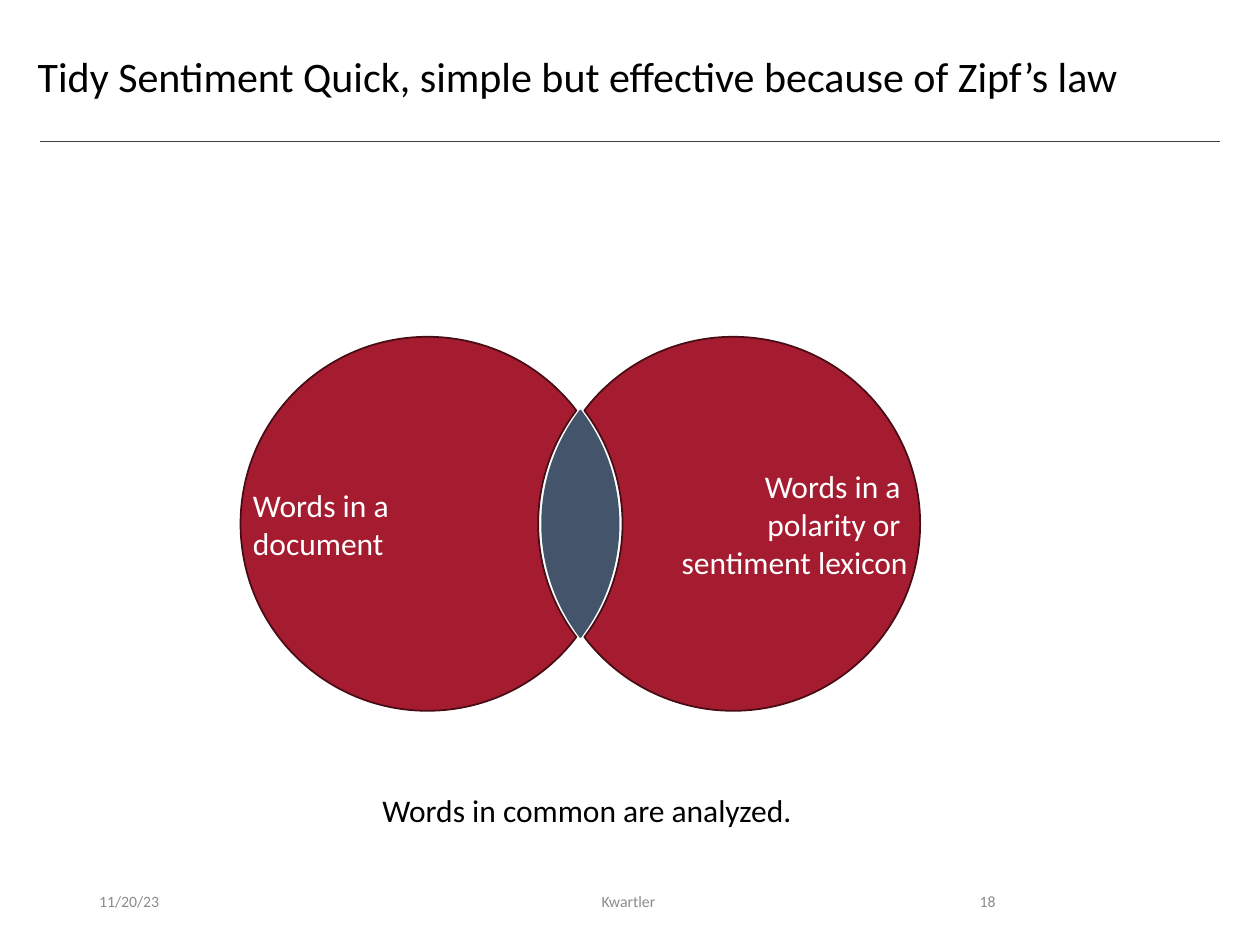
"""Build the tidy sentiment slide: two word sets and the words they share."""
import math
from lxml import etree
from pptx import Presentation
from pptx import util as u
from pptx.dml import color
from pptx.enum import shapes, text
from pptx.oxml import ns

HUES = {"red": "A51C30", "edge": "480C15", "slate": "44546A", "rule": "404040",
        "white": "FFFFFF", "black": "000000", "grey": "8C8C8C"}
HUES = {name: color.RGBColor.from_string(code) for name, code in HUES.items()}
LEFT, MID, RIGHT = text.PP_ALIGN.LEFT, text.PP_ALIGN.CENTER, text.PP_ALIGN.RIGHT
TOP, CORE = text.MSO_ANCHOR.TOP, text.MSO_ANCHOR.MIDDLE


def write(shape, lines, size, hue, align, anchor, wrap=True):
    frame = shape.text_frame
    frame.text = "\n".join(lines)
    frame.word_wrap, frame.vertical_anchor = wrap, anchor
    look = {"name": "Calibri", "size": u.Pt(size)}
    for para in frame.paragraphs:
        para.alignment = align
        for key, value in look.items():
            setattr(para.font, key, value)
        para.font.color.rgb = HUES[hue]
    return frame


def arc(mid, start, end):
    low, high = sorted((start, end))
    stops = [low, *(a for a in range(-360, 541, 90) if low < a < high), high]
    if start > end:
        stops.reverse()
    spots = []
    for a, b in zip(stops, stops[1:]):
        a, b = math.radians(a), math.radians(b)
        pull = 4 / 3 * math.tan((b - a) / 4)
        for turn, bend in ((a, pull), (b, -pull), (b, 0)):
            x = math.cos(turn) - bend * math.sin(turn)
            y = math.sin(turn) + bend * math.cos(turn)
            spots.append((u.Cm(mid + RADIUS * x), u.Cm(LEVEL + RADIUS * y)))
    return spots


deck = Presentation()
deck.slide_width, deck.slide_height = u.Cm(25.4), u.Cm(19.05)
slide = deck.slides.add_slide(deck.slide_layouts[6])
items = slide.shapes

rule = items.add_connector(shapes.MSO_CONNECTOR.STRAIGHT,
                           u.Cm(0.81), u.Cm(2.85), u.Cm(24.59), u.Cm(2.85))
rule.line.color.rgb = HUES["rule"]
rule.line.width = u.Pt(0.5)
etree.SubElement(rule._element.spPr, ns.qn("a:effectLst"))

labels = [
    ("Tidy Sentiment Quick, simple but effective because of Zipf’s law",
     (0.51, 1, 24.26, 1.65), 24, "black", LEFT, TOP),
    ("11/20/23", (1.75, 17.65, 5.72, 1.02), 9, "grey", LEFT, CORE),
    ("Kwartler ", (8.41, 17.65, 8.59, 1.02), 9, "grey", MID, CORE),
    ("18", (17.93, 17.65, 2.39, 1.02), 9, "grey", RIGHT, CORE),
]
for words, place, *style in labels:
    frame = write(items.add_textbox(*map(u.Cm, place)), [words], *style)
    if style[0] == 24:
        frame.paragraphs[0].line_spacing = 0.9

RADIUS, LEVEL = 3.77, 10.56
WEST, EAST, GAP = 8.7, 14.7, 0.08
HALF = math.degrees(math.acos((EAST - WEST) / 2 / RADIUS))
parts = [
    (arc(WEST, -HALF, HALF) + arc(EAST, 180 - HALF, 180 + HALF),
     "slate", "slate", [], LEFT),
    (arc(WEST - GAP, HALF, 360 - HALF) + arc(EAST - GAP, 180 + HALF, 180 - HALF),
     "red", "edge", ["Words in a", "document"], LEFT),
    (arc(EAST + GAP, 180 + HALF, 540 - HALF) + arc(WEST + GAP, HALF, -HALF),
     "red", "edge", ["Words in a ", "polarity or ", "sentiment lexicon"], RIGHT),
]
for points, fill, edge, lines, align in parts:
    pen = items.build_freeform(*points[-1])
    pen.add_line_segments(points, close=True)
    part = pen.convert_to_shape()
    legs = part._element.findall(".//" + ns.qn("a:lnTo"))
    for i in range(0, len(legs), 3):
        curve = etree.Element(ns.qn("a:cubicBezTo"))
        legs[i].addprevious(curve)
        for leg in legs[i:i + 3]:
            curve.append(leg[0])
            leg.getparent().remove(leg)
    part.shadow.inherit = False
    part.fill.solid()
    part.fill.fore_color.rgb = HUES[fill]
    part.line.color.rgb = HUES[edge]
    part.line.width = u.Pt(1)
    if lines:
        write(part, lines, 18, "white", align, CORE)

note = items.add_shape(shapes.MSO_SHAPE.RECTANGLE,
                       u.Cm(7.46), u.Cm(15.82), u.Cm(8.86), u.Cm(1.02))
note.shadow.inherit = False
note.fill.background()
note.line.color.rgb = HUES["white"]
note.line.width = u.Pt(0.75)
frame = write(note, ["Words in common are analyzed."], 18, "black", LEFT, TOP, False)
frame.auto_size = text.MSO_AUTO_SIZE.SHAPE_TO_FIT_TEXT

deck.save("out.pptx")
